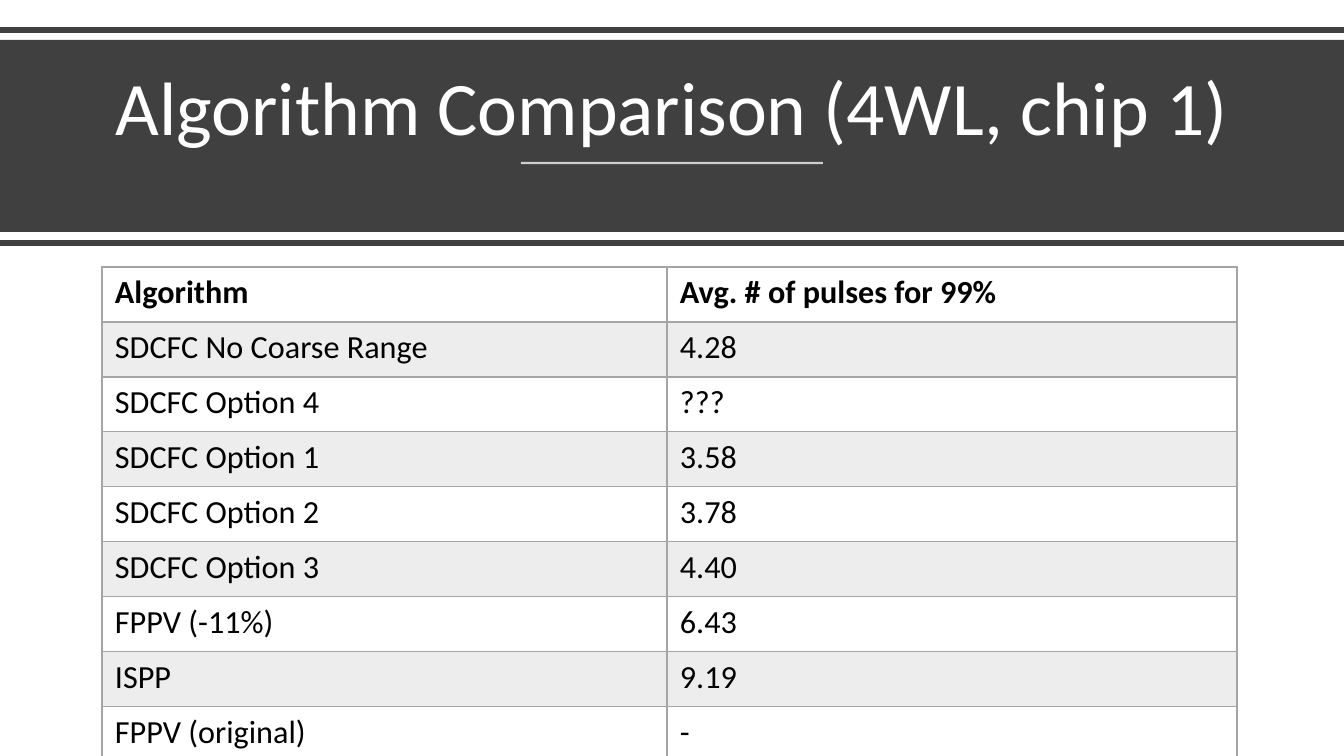
from typing import NamedTuple

from lxml.etree import SubElement
from pptx import Presentation
from pptx.dml.color import RGBColor
from pptx.enum.shapes import MSO_CONNECTOR as Link, MSO_SHAPE as Shape
from pptx.enum.text import MSO_ANCHOR as Anchor, MSO_AUTO_SIZE as Fit, PP_ALIGN as Align
from pptx.oxml.ns import qn
from pptx.util import Emu, Pt

SCALE = 914400 / 100.8
WIDE, HIGH = 1344, 756
DARK = RGBColor(0x40, 0x40, 0x40)
GREY = RGBColor(0xA5, 0xA5, 0xA5)
WHITE = RGBColor(0xFF, 0xFF, 0xFF)
BLACK = RGBColor(0, 0, 0)
FONT = "Calibri"


class Rule(NamedTuple):
    left: int
    right: int
    y: int
    color: RGBColor
    width: float
    alpha: int = 100


class Row(NamedTuple):
    name: str
    pulses: str


TOP = Rule(0, WIDE, 30, DARK, 4)
MID = Rule(521, 823, 163, WHITE, 1.5, 75)
LOW = Rule(0, WIDE, 243, DARK, 4)

ROWS = [
    Row("Algorithm", "Avg. # of pulses for 99%"),
    Row("SDCFC No Coarse Range", "4.28"),
    Row("SDCFC Option 4", "???"),
    Row("SDCFC Option 1", "3.58"),
    Row("SDCFC Option 2", "3.78"),
    Row("SDCFC Option 3", "4.40"),
    Row("FPPV (-11%)", "6.43"),
    Row("ISPP", "9.19"),
    Row("FPPV (original)", "-"),
]
COLS = [565, 570]
STEP = 55


def px(size: float) -> Emu:
    return Emu(round(size * SCALE))


def write(frame, text: str, *, size: float, color: RGBColor, bold: bool = False,
          align: Align = Align.LEFT, space: float = 1.0) -> None:
    para = frame.paragraphs[0]
    para.alignment = align
    para.line_spacing = space
    run = para.add_run()
    run.text = text
    font = run.font
    font.name, font.size, font.bold = FONT, Pt(size), bold
    font.color.rgb = color


def fade(node, alpha: int) -> None:
    for color in node.iter(qn("a:srgbClr")):
        SubElement(color, qn("a:alpha"), val=str(alpha * 1000))


def draw(slide, rule: Rule) -> None:
    y = px(rule.y)
    link = slide.shapes.add_connector(Link.STRAIGHT, px(rule.left), y, px(rule.right), y)
    link.line.color.rgb = rule.color
    link.line.width = Pt(rule.width)
    if rule.alpha < 100:
        fade(link.line._ln, rule.alpha)
    SubElement(link._element.spPr, qn("a:effectLst"))


def edge(cell, side: str, width: float) -> None:
    line = SubElement(cell._tc.get_or_add_tcPr(), qn(f"a:ln{side}"), w=str(Pt(width)))
    fill = SubElement(line, qn("a:solidFill"))
    SubElement(fill, qn("a:srgbClr"), val=str(GREY))


def band(slide) -> None:
    box = slide.shapes.add_shape(Shape.RECTANGLE, 0, px(40), px(WIDE), px(192))
    box.shadow.inherit = False
    box.fill.solid()
    box.fill.fore_color.rgb = DARK
    box.line.fill.background()


def head(slide, text: str) -> None:
    title = slide.shapes.title
    title.left, title.top, title.width, title.height = map(px, (58, 54, 1228, 103))
    frame = title.text_frame
    frame.word_wrap = True
    frame.auto_size = Fit.NONE
    frame.vertical_anchor = Anchor.BOTTOM
    write(frame, text, size=54, color=WHITE, align=Align.CENTER, space=0.9)
    slide.shapes._spTree.append(title._element)


def fill(cell, text: str, row: int) -> None:
    cell.margin_left = cell.margin_right = px(13)
    cell.margin_top = cell.margin_bottom = px(6)
    write(cell.text_frame, text, size=23, color=BLACK, bold=row == 0)
    for side in "LRTB":
        thick = (row, side) in ((0, "B"), (1, "T"))
        edge(cell, side, 2 if thick else 1)
    if row % 2:
        cell.fill.solid()
        cell.fill.fore_color.rgb = GREY
        fade(cell._tc.tcPr.find(qn("a:solidFill")), 20)
    else:
        cell.fill.background()


def grid(slide) -> None:
    table = slide.shapes.add_table(len(ROWS), len(COLS), px(102), px(267),
                                   px(sum(COLS)), px(STEP * len(ROWS))).table
    table.first_row = table.horz_banding = False
    for col, width in zip(table.columns, COLS):
        col.width = px(width)
    for i, row in enumerate(ROWS):
        table.rows[i].height = px(STEP)
        for j, text in enumerate(row):
            fill(table.cell(i, j), text, i)


def main() -> None:
    deck = Presentation()
    deck.slide_width, deck.slide_height = px(WIDE), px(HIGH)
    slide = deck.slides.add_slide(deck.slide_layouts[5])
    draw(slide, TOP)
    band(slide)
    head(slide, "Algorithm Comparison (4WL, chip 1)")
    draw(slide, MID)
    draw(slide, LOW)
    grid(slide)
    deck.save("out.pptx")


main()
